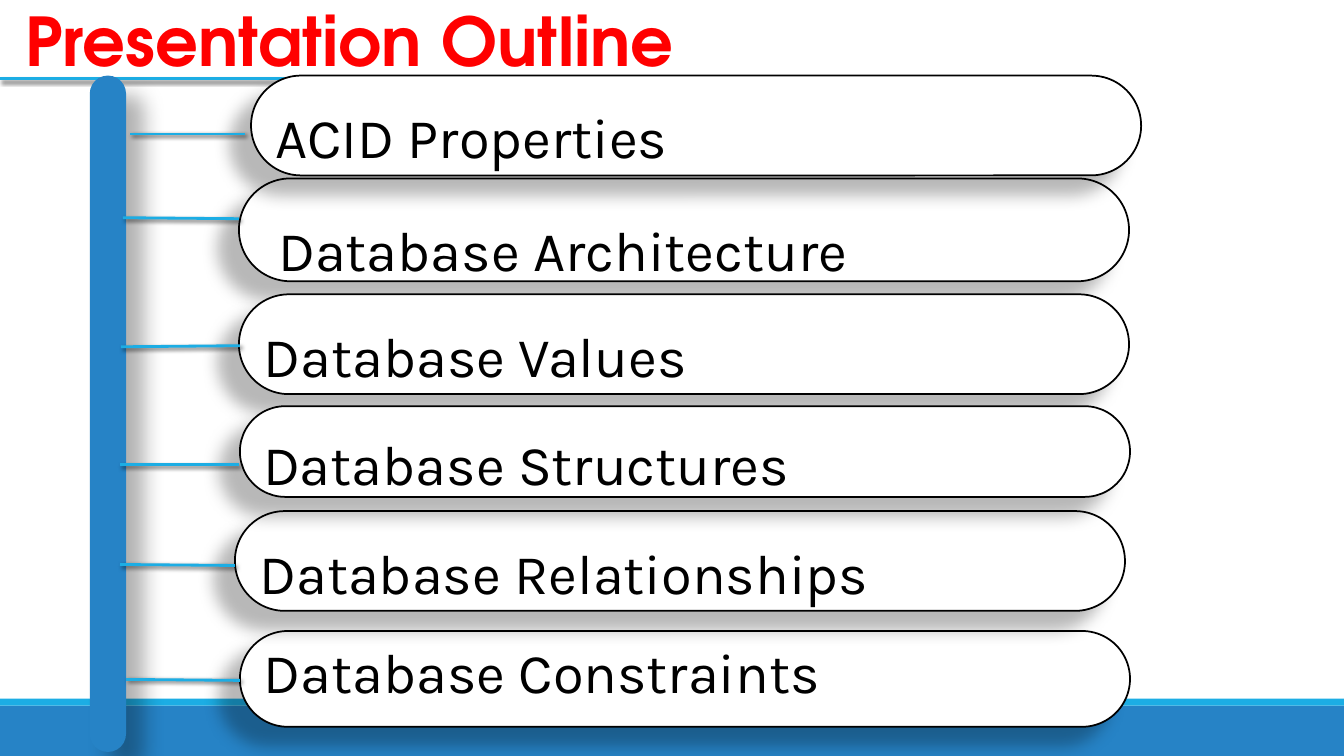
from dataclasses import dataclass

from lxml.etree import SubElement
from pptx import Presentation
from pptx.dml.color import RGBColor
from pptx.enum.shapes import MSO_CONNECTOR, MSO_SHAPE
from pptx.enum.text import MSO_ANCHOR, PP_ALIGN
from pptx.oxml.ns import qn
from pptx.util import Emu, Inches, Pt

WIDTH, HEIGHT = Inches(13.33), Inches(7.5)


@dataclass(frozen=True)
class Shadow:
    opacity: int  # percent
    blur: float  # points
    distance: float  # points
    angle: int  # degrees


@dataclass(frozen=True)
class Theme:
    blue: RGBColor = RGBColor(0x26, 0x83, 0xC6)
    cyan: RGBColor = RGBColor(0x1C, 0xAD, 0xE4)
    red: RGBColor = RGBColor(0xFF, 0x00, 0x00)
    black: RGBColor = RGBColor(0x00, 0x00, 0x00)
    white: RGBColor = RGBColor(0xFF, 0xFF, 0xFF)
    title_font: str = "TeX Gyre Adventor"
    topic_font: str = "Karla"
    title_size: Pt = Pt(48)
    topic_size: Pt = Pt(40)
    rule_width: Pt = Pt(2)
    outline_width: Pt = Pt(1.25)
    line_shadow: Shadow = Shadow(60, 3, 2, 45)
    spine_shadow: Shadow = Shadow(30, 15, 18, 45)
    topic_shadow: Shadow = Shadow(28, 11.8, 19.7, 141)


THEME = Theme()


@dataclass(frozen=True)
class Box:
    """A frame in percent of the slide's width and height."""
    left: float
    top: float
    width: float
    height: float

    def frame(self) -> tuple[Emu, Emu, Emu, Emu]:
        return (across(self.left), down(self.top),
                across(self.width), down(self.height))


@dataclass(frozen=True)
class Branch:
    """A line from the spine to a topic, in percent of the slide."""
    start_x: float
    start_y: float
    end_x: float
    end_y: float


@dataclass(frozen=True)
class Topic:
    text: str
    left: float
    top: float
    height: float
    branch: Branch
    drop: float = 0.11  # text below the middle, inches
    indent: float = 0.1  # left inset, inches


TOPIC_WIDTH = 66.23

# Back to front, so that each shadow falls on the right neighbour
TOPICS = [
    Topic("Database Architecture", 17.78, 23.6, 13.6,
          Branch(9.15, 28.8, 17.78, 28.93), drop=0.19, indent=0.24),
    Topic("Database Constraints", 17.85, 83.47, 12.67,
          Branch(9.38, 89.87, 17.85, 90), drop=-0.08),
    Topic("Database Values", 17.78, 38.93, 13.2,
          Branch(9, 45.87, 17.85, 45.73)),
    Topic("Database Relationships", 17.48, 67.6, 13.2,
          Branch(8.93, 74.67, 17.48, 74.8)),
    Topic("Database Structures", 17.85, 53.73, 12,
          Branch(8.93, 61.47, 17.78, 61.47)),
    Topic("ACID Properties", 18.68, 10, 13.2,
          Branch(9.68, 17.73, 18.23, 17.73)),
]


def across(percent: float) -> Emu:
    return Emu(round(WIDTH * percent / 100))


def down(percent: float) -> Emu:
    return Emu(round(HEIGHT * percent / 100))


def add_shadow(shape, shadow: Shadow) -> None:
    effects = shape._element.spPr.get_or_add_effectLst() if hasattr(
        shape._element.spPr, "get_or_add_effectLst") else SubElement(
        shape._element.spPr, qn("a:effectLst"))
    outer = SubElement(effects, qn("a:outerShdw"), {
        "blurRad": str(Pt(shadow.blur)), "dist": str(Pt(shadow.distance)),
        "dir": str(shadow.angle * 60000), "algn": "ctr", "rotWithShape": "0"})
    color = SubElement(outer, qn("a:srgbClr"), val=str(THEME.black))
    SubElement(color, qn("a:alpha"), val=str(shadow.opacity * 1000))


def add_block(slide, box: Box, fill: RGBColor, rounded: bool = False):
    kind = MSO_SHAPE.ROUNDED_RECTANGLE if rounded else MSO_SHAPE.RECTANGLE
    shape = slide.shapes.add_shape(kind, *box.frame())
    if rounded:
        shape.adjustments[0] = 0.5
    shape.fill.solid()
    shape.fill.fore_color.rgb = fill
    shape.line.fill.background()
    shape.shadow.inherit = False
    return shape


def add_line(slide, branch: Branch) -> None:
    line = slide.shapes.add_connector(
        MSO_CONNECTOR.STRAIGHT, across(branch.start_x), down(branch.start_y),
        across(branch.end_x), down(branch.end_y))
    line.line.color.rgb = THEME.cyan
    line.line.width = THEME.rule_width
    add_shadow(line, THEME.line_shadow)


def write(shape, text: str, font: str, size: Pt, color: RGBColor,
          bold: bool = False) -> None:
    paragraph = shape.text_frame.paragraphs[0]
    paragraph.text = text
    paragraph.alignment = PP_ALIGN.LEFT
    paragraph.font.name = font
    paragraph.font.size = size
    paragraph.font.bold = bold
    paragraph.font.color.rgb = color


def add_topic(slide, topic: Topic) -> None:
    box = Box(topic.left, topic.top, TOPIC_WIDTH, topic.height)
    shape = add_block(slide, box, THEME.white, rounded=True)
    shape.line.color.rgb = THEME.black
    shape.line.width = THEME.outline_width
    add_shadow(shape, THEME.topic_shadow)
    frame = shape.text_frame
    frame.word_wrap = True
    frame.vertical_anchor = MSO_ANCHOR.MIDDLE
    frame.margin_left = Inches(topic.indent)
    # An inset on one side moves centred text by half its size
    frame.margin_top = Inches(max(2 * topic.drop, 0))
    frame.margin_bottom = Inches(max(-2 * topic.drop, 0))
    write(shape, topic.text, THEME.topic_font, THEME.topic_size, THEME.black)
    add_line(slide, topic.branch)


def main() -> None:
    presentation = Presentation()
    presentation.slide_width, presentation.slide_height = WIDTH, HEIGHT
    slide = presentation.slides.add_slide(presentation.slide_layouts[6])

    # Footer band and its edge
    add_block(slide, Box(0, 93.33, 100, 6.67), THEME.blue)
    add_block(slide, Box(0, 92.4, 100, 0.93), THEME.cyan)

    # Title and the rule below it
    add_line(slide, Branch(0, 10.4, 57.01, 10.4))
    title = slide.shapes.add_textbox(*Box(1.13, -0.8, 84.47, 12.13).frame())
    title.text_frame.word_wrap = True
    write(title, "Presentation Outline", THEME.title_font, THEME.title_size,
          THEME.red, bold=True)

    # Spine with its topics
    spine = add_block(slide, Box(6.68, 10, 2.7, 89.47), THEME.blue, rounded=True)
    add_shadow(spine, THEME.spine_shadow)
    for topic in TOPICS:
        add_topic(slide, topic)

    presentation.save("out.pptx")


if __name__ == "__main__":
    main()
